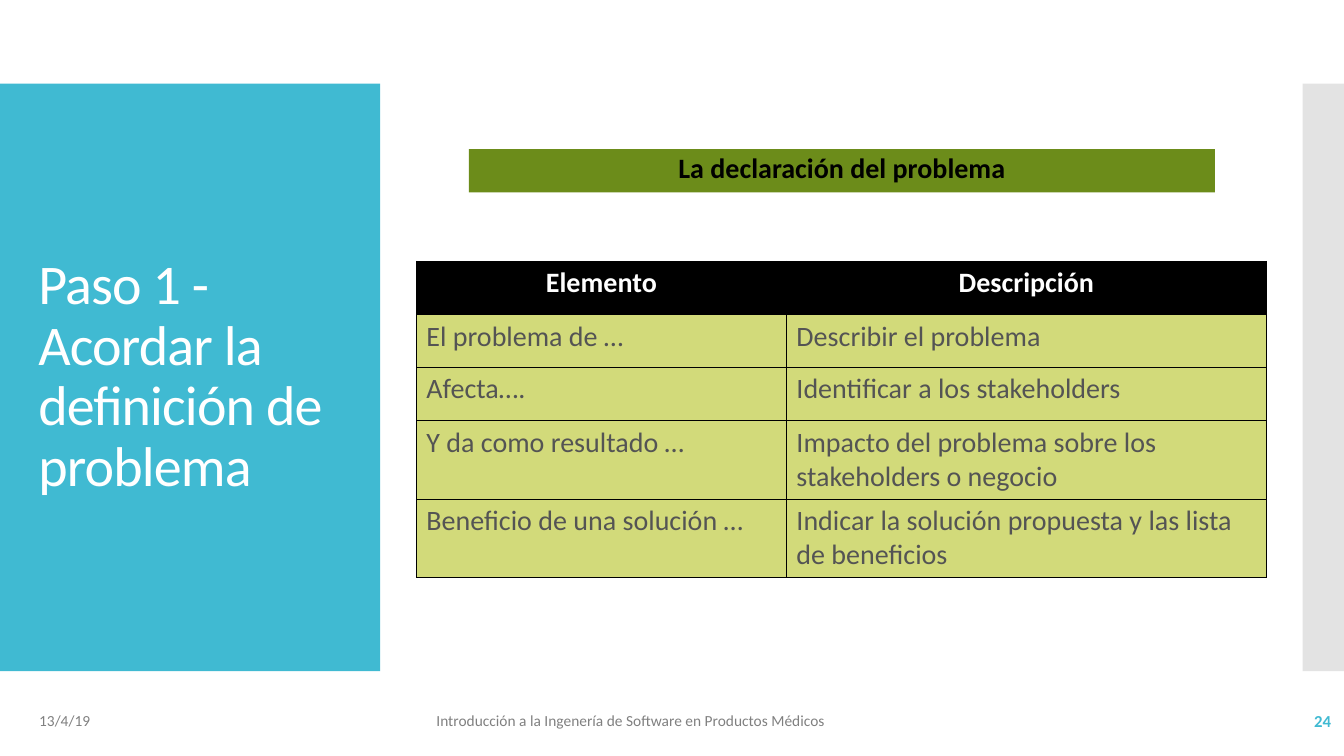
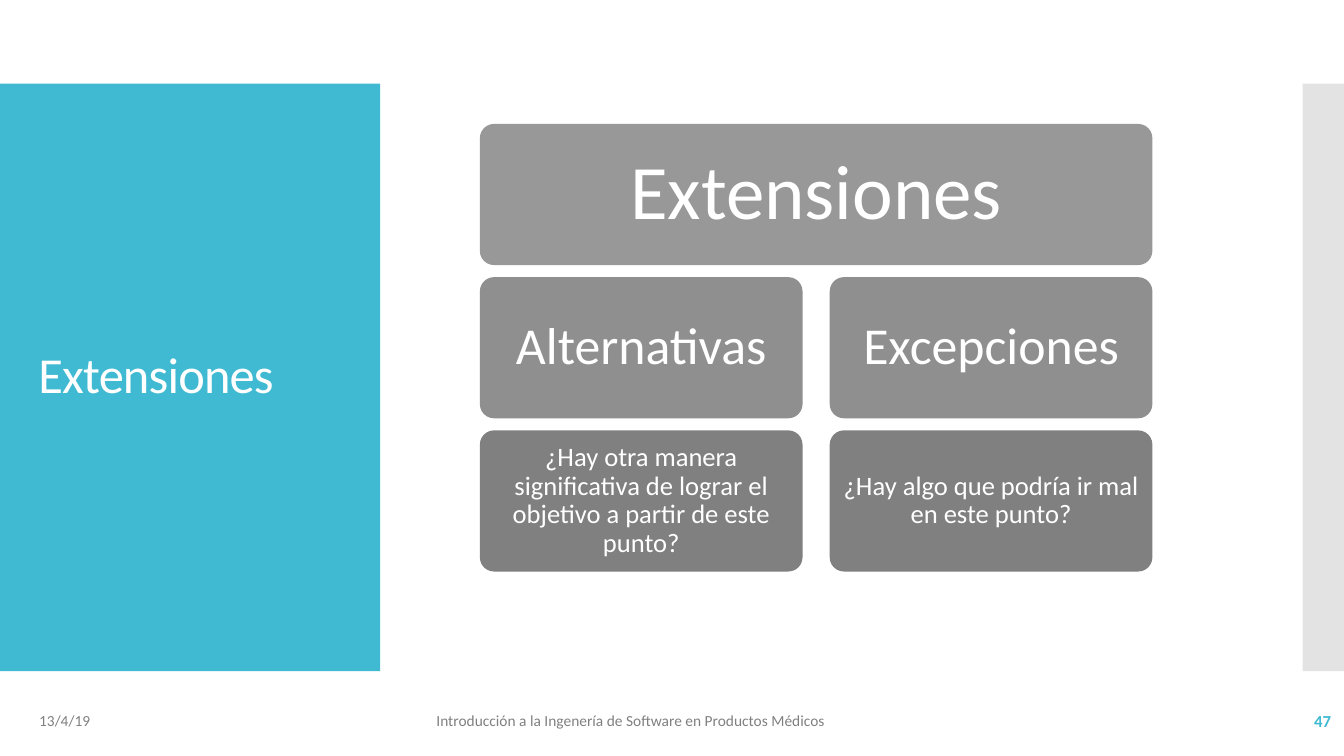
from typing import NamedTuple, Optional

from lxml import etree
from pptx import Presentation
from pptx.dml.color import RGBColor
from pptx.enum.shapes import MSO_SHAPE
from pptx.enum.text import MSO_ANCHOR, MSO_AUTO_SIZE, PP_ALIGN
from pptx.oxml.ns import qn
from pptx.util import Inches, Pt

RECTANGLE, ROUNDED = MSO_SHAPE.RECTANGLE, MSO_SHAPE.ROUNDED_RECTANGLE
LEFT, CENTER, RIGHT = PP_ALIGN.LEFT, PP_ALIGN.CENTER, PP_ALIGN.RIGHT
TOP, MIDDLE = MSO_ANCHOR.TOP, MSO_ANCHOR.MIDDLE
NO_AUTOFIT = MSO_AUTO_SIZE.NONE

FONT = "Calibri"
WHITE = RGBColor(0xFF, 0xFF, 0xFF)
BLACK = RGBColor(0x00, 0x00, 0x00)
TEAL = RGBColor(0x40, 0xBA, 0xD2)
PALE_GRAY = RGBColor(0xE3, 0xE3, 0xE3)
FOOTER_GRAY = RGBColor(0x80, 0x80, 0x80)
TEXT_GRAY = RGBColor(0x54, 0x54, 0x54)
OLIVE = RGBColor(0x6C, 0x8C, 0x1A)
LIME = RGBColor(0xD2, 0xDA, 0x7A)
LEVEL_GRAYS = (
    RGBColor(0x98, 0x98, 0x98),
    RGBColor(0x8F, 0x8F, 0x8F),
    RGBColor(0x80, 0x80, 0x80),
)


class Box(NamedTuple):
    """Left, top, width and height in inches."""

    left: float
    top: float
    width: float
    height: float

    def emu(self):
        return tuple(Inches(length) for length in self)


class FooterItem(NamedTuple):
    box: Box
    size: int
    color: RGBColor
    align: PP_ALIGN = LEFT
    bold: bool = False


class Node(NamedTuple):
    text: str
    column: int
    row: int
    span: int = 1


class Level(NamedTuple):
    size: int
    inset: float


SLIDE_WIDTH, SLIDE_HEIGHT = 13.33, 7.5
TITLE_BOX = Box(0.28, 1.23, 3.22, 5.03)
BANDS = (
    (Box(0, 0.83, 3.77, 5.83), TEAL),
    (Box(12.92, 0.83, SLIDE_WIDTH - 12.92, 5.83), PALE_GRAY),
)

DATE_TEXT = "13/4/19"
COURSE_TEXT = "Introducción a la Ingenería de Software en Productos Médicos"
FOOTER_ITEMS = (
    FooterItem(Box(0.29, 6.95, 3, 0.4), 11, FOOTER_GRAY),
    FooterItem(Box(4.23, 6.95, 6.46, 0.4), 11, FOOTER_GRAY),
    FooterItem(Box(11.63, 6.95, 1.67, 0.4), 12, TEAL, RIGHT, True),
)

# Problem statement table
TABLE_LEFT, TABLE_TOP = 4.13, 2.59
COLUMN_WIDTHS = (3.67, 4.76)
ROW_HEIGHTS = (0.53, 0.52, 0.53, 0.78, 0.78)
TABLE_ROWS = (
    ("Elemento", "Descripción"),
    ("El problema de …", "Describir el problema"),
    ("Afecta….", "Identificar a los stakeholders"),
    ("Y da como resultado …", "Impacto del problema sobre los stakeholders o negocio"),
    ("Beneficio de una solución …", "Indicar la solución propuesta y las lista de beneficios"),
)

# Hierarchy grid
GRID_LEFT, GRID_TOP = 4.76, 1.23
NODE_WIDTH, NODE_HEIGHT = 3.2, 1.4
COLUMN_GAP, ROW_GAP = 0.27, 0.12
LEVELS = (Level(55, 0.23), Level(37, 0.15), Level(19, 0.08))
NODES = (
    Node("Extensiones", 0, 0, span=2),
    Node("Alternativas", 0, 1),
    Node("Excepciones", 1, 1),
    Node("¿Hay otra manera significativa de lograr el objetivo a partir de este punto?", 0, 2),
    Node("¿Hay algo que podría ir mal en este punto?", 1, 2),
)


def write_text(frame, text: str, *, size: int, color: RGBColor, bold: bool = False,
               align: PP_ALIGN = LEFT, anchor: MSO_ANCHOR = MIDDLE,
               line_spacing: float = 1.0, letter_spacing: float = 0,
               inset: Optional[float] = None) -> None:
    frame.word_wrap = True
    frame.vertical_anchor = anchor
    if inset is not None:
        frame.margin_left = frame.margin_right = Inches(inset)
        frame.margin_top = frame.margin_bottom = Inches(inset)
    paragraph = frame.paragraphs[0]
    paragraph.alignment = align
    paragraph.line_spacing = line_spacing
    run = paragraph.add_run()
    run.text = text
    run.font.name = FONT
    run.font.size = Pt(size)
    run.font.bold = bold
    run.font.color.rgb = color
    if letter_spacing:
        run.font._element.set("spc", str(round(letter_spacing * 100)))


def add_block(slide, box: Box, color: RGBColor, kind: MSO_SHAPE = RECTANGLE):
    shape = slide.shapes.add_shape(kind, *box.emu())
    shape.shadow.inherit = False
    shape.fill.solid()
    shape.fill.fore_color.rgb = color
    shape.line.fill.background()
    return shape


def move_bands_to_layout(slide) -> None:
    """Draw the side bands and hand them to the layout that all slides share."""
    layout_tree = slide.slide_layout.shapes.element
    for index, (box, color) in enumerate(BANDS):
        band = add_block(slide, box, color).element
        band.nvSpPr.cNvPr.set("id", str(100 + index))
        layout_tree.insert(2 + index, band)


def start_slide(presentation, layout, title: str, title_size: int, number: int):
    slide = presentation.slides.add_slide(layout)
    placeholder = slide.shapes.title
    placeholder.left, placeholder.top, placeholder.width, placeholder.height = TITLE_BOX.emu()
    placeholder.text_frame.auto_size = NO_AUTOFIT
    write_text(placeholder.text_frame, title, size=title_size, color=WHITE,
               line_spacing=0.9, letter_spacing=-0.6)
    for item, text in zip(FOOTER_ITEMS, (DATE_TEXT, COURSE_TEXT, str(number))):
        text_box = slide.shapes.add_textbox(*item.box.emu())
        write_text(text_box.text_frame, text, size=item.size, color=item.color,
                   bold=item.bold, align=item.align)
    return slide


def set_borders(cell, color: RGBColor, width: float) -> None:
    properties = cell._tc.get_or_add_tcPr()
    for index, side in enumerate(("lnL", "lnR", "lnT", "lnB")):
        line = etree.Element(qn(f"a:{side}"), w=str(Pt(width)))
        fill = etree.SubElement(line, qn("a:solidFill"))
        etree.SubElement(fill, qn("a:srgbClr"), val=str(color))
        properties.insert(index, line)


def add_problem_table(slide) -> None:
    box = Box(TABLE_LEFT, TABLE_TOP, sum(COLUMN_WIDTHS), sum(ROW_HEIGHTS))
    table = slide.shapes.add_table(len(TABLE_ROWS), len(COLUMN_WIDTHS), *box.emu()).table
    for column, width in zip(table.columns, COLUMN_WIDTHS):
        column.width = Inches(width)
    for row_index, (row, height, texts) in enumerate(zip(table.rows, ROW_HEIGHTS, TABLE_ROWS)):
        row.height = Inches(height)
        header = row_index == 0
        for cell, text in zip(row.cells, texts):
            cell.fill.solid()
            cell.fill.fore_color.rgb = BLACK if header else LIME
            set_borders(cell, BLACK, 0.5)
            cell.vertical_anchor = TOP
            write_text(cell.text_frame, text, size=20, bold=header, anchor=TOP,
                       color=WHITE if header else TEXT_GRAY,
                       align=CENTER if header else LEFT)


def add_node(slide, node: Node) -> None:
    box = Box(
        GRID_LEFT + node.column * (NODE_WIDTH + COLUMN_GAP),
        GRID_TOP + node.row * (NODE_HEIGHT + ROW_GAP),
        node.span * (NODE_WIDTH + COLUMN_GAP) - COLUMN_GAP,
        NODE_HEIGHT,
    )
    level = LEVELS[node.row]
    shape = add_block(slide, box, LEVEL_GRAYS[node.row], ROUNDED)
    shape.adjustments[0] = 0.1
    write_text(shape.text_frame, node.text, size=level.size, color=WHITE,
               align=CENTER, line_spacing=0.9, inset=level.inset)


def main() -> None:
    presentation = Presentation()
    presentation.slide_width = Inches(SLIDE_WIDTH)
    presentation.slide_height = Inches(SLIDE_HEIGHT)
    layout = presentation.slide_layouts.get_by_name("Title Only")

    # Problem statement
    problem = start_slide(presentation, layout,
                          "Paso 1 - Acordar la definición de problema", 40, 24)
    move_bands_to_layout(problem)
    add_problem_table(problem)
    heading = add_block(problem, Box(4.65, 1.48, 7.4, 0.43), OLIVE)
    write_text(heading.text_frame, "La declaración del problema", size=20, color=BLACK,
               bold=True, align=CENTER, anchor=TOP, line_spacing=0.9)

    # Extensions hierarchy
    extensions = start_slide(presentation, layout, "Extensiones", 36, 47)
    for node in NODES:
        add_node(extensions, node)

    presentation.save("out.pptx")


if __name__ == "__main__":
    main()
